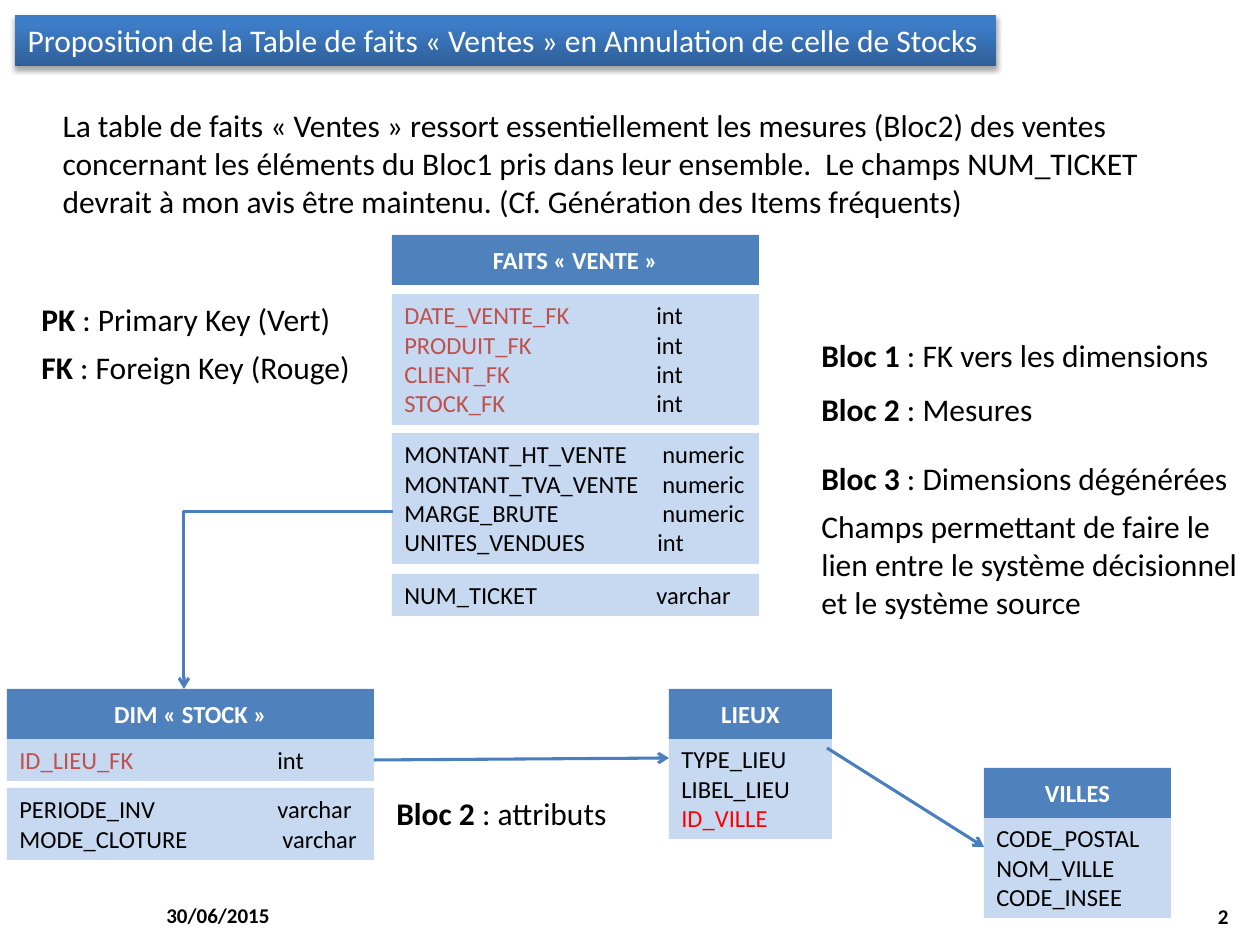
from lxml.etree import SubElement
from pptx import Presentation
from pptx.dml.color import RGBColor
from pptx.enum.shapes import MSO_CONNECTOR as LINK, MSO_SHAPE as FORM
from pptx.enum.text import MSO_ANCHOR as ANCHOR, MSO_AUTO_SIZE as FIT, PP_ALIGN as ALIGN
from pptx.oxml.ns import qn
from pptx.util import Emu, Pt

HUES = {"head": "4F81BD", "cell": "C6D9F1", "line": "4B7EBC", "low": "2F5F99", "high": "3D7CC7",
        "black": "000000", "white": "FFFFFF", "key": "C0504D", "red": "FF0000"}

TITLE = "Proposition de la Table de faits « Ventes » en Annulation de celle de Stocks"
INTRO = ("La table de faits « Ventes » ressort essentiellement les mesures (Bloc2) des ventes "
         "concernant les éléments du Bloc1 pris dans leur ensemble.  Le champs NUM_TICKET "
         "devrait à mon avis être maintenu. (Cf. Génération des Items fréquents)")

NOTES = [
    ((29, 294, 338, 99), [("PK", " : Primary Key (Vert)"), ("FK", " : Foreign Key (Rouge)")]),
    ((809, 330, 427, 51), [("Bloc 1", " : FK vers les dimensions")]),
    ((809, 384, 427, 51), [("Bloc 2", " : Mesures")]),
    ((809, 453, 441, 176), [("Bloc 3", " : Dimensions dégénérées"),
     ("", "Champs permettant de faire le lien entre le système décisionnel et le système source")]),
    ((384, 788, 427, 51), [("Bloc 2", " : attributs")]),
]

HEADS = [
    ((392, 235, 367, 50), "FAITS « VENTE »"),
    ((7, 689, 367, 50), "DIM « STOCK »"),
    ((669, 689, 163, 50), "LIEUX"),
    ((984, 768, 187, 50), "VILLES"),
]

CELLS = [
    ((392, 294, 367, 131), [("DATE_VENTE_FK", "int", "key", 252), ("PRODUIT_FK", "int", "key", 252),
                            ("CLIENT_FK", "int", "key", 252), ("STOCK_FK", "int", "key", 252)]),
    ((392, 433, 367, 131), [("MONTANT_HT_VENTE", "numeric", "black", 258),
                            ("MONTANT_TVA_VENTE", "numeric", "black", 258),
                            ("MARGE_BRUTE", "numeric", "black", 258),
                            ("UNITES_VENDUES", "int", "black", 253)]),
    ((392, 574, 367, 42), [("NUM_TICKET", "varchar", "black", 252)]),
    ((7, 739, 367, 42), [("ID_LIEU_FK", "int", "key", 258)]),
    ((7, 788, 367, 72), [("PERIODE_INV", "varchar", "black", 258),
                         ("MODE_CLOTURE", "varchar", "black", 263)]),
    ((669, 738, 163, 101), [("TYPE_LIEU", "", "black", 0), ("LIBEL_LIEU", "", "black", 0),
                            ("ID_VILLE", "", "red", 0)]),
    ((984, 817, 187, 101), [("CODE_POSTAL", "", "black", 0), ("NOM_VILLE", "", "black", 0),
                            ("CODE_INSEE", "", "black", 0)]),
]

LINKS = [
    (LINK.ELBOW, (393, 512, 184, 689)),
    (LINK.STRAIGHT, (374, 760, 669, 758)),
    (LINK.STRAIGHT, (827, 748, 984, 847)),
]

FOOT = [
    ((154, 890, 294, 50), "30/06/2015", ALIGN.LEFT),
    ((948, 891, 293, 50), "2", ALIGN.RIGHT),
]


def px(n):
    return Emu(round(n * 914400 / 126))


def rgb(hue):
    return RGBColor.from_string(HUES[hue])


def style(font, size, hue="black", bold=False):
    font.name, font.size, font.bold = "Calibri", Pt(size), bold
    font.color.rgb = rgb(hue)


def place(shape, box):
    shape.left, shape.top, shape.width, shape.height = map(px, box)


def setup(frame, anchor=ANCHOR.TOP):
    frame.word_wrap = True
    frame.auto_size = FIT.NONE
    frame.vertical_anchor = anchor


def lines(frame, rows):
    for i, row in enumerate(rows):
        yield i, frame.add_paragraph() if i else frame.paragraphs[0], row


def write(frame, text, size, hue="black", bold=False, align=ALIGN.LEFT):
    para = frame.paragraphs[0]
    para.alignment = align
    para.space_before = Pt(0)
    style(para.font, size, hue, bold)
    run = para.add_run()
    run.text = text
    style(run.font, size, hue, bold)


def block(box, hue, anchor):
    shape = slide.shapes.add_shape(FORM.RECTANGLE, *map(px, box))
    shape.shadow.inherit = False
    shape.fill.solid()
    shape.fill.fore_color.rgb = rgb(hue)
    shape.line.fill.background()
    setup(shape.text_frame, anchor)
    return shape.text_frame


def label(box, anchor=ANCHOR.TOP):
    frame = slide.shapes.add_textbox(*map(px, box)).text_frame
    setup(frame, anchor)
    return frame


deck = Presentation()
deck.slide_width, deck.slide_height = px(1260), px(945)
slide = deck.slides.add_slide(deck.slide_layouts[1])

title, intro = slide.placeholders
place(title, (15, 15, 981, 51))
setup(title.text_frame)
title.text_frame.word_wrap = False
write(title.text_frame, TITLE, 18, "white")
title.fill.gradient()
title.fill.gradient_angle = 90
for stop, (hue, spot) in zip(title.fill.gradient_stops, [("low", 0), ("high", 0.8)]):
    stop.color.rgb, stop.position = rgb(hue), spot
glow = SubElement(SubElement(title._element.spPr, qn("a:effectLst")), qn("a:outerShdw"),
                  blurRad=str(Pt(3.1)), dist=str(Pt(1.8)), dir="5400000", rotWithShape="0")
tint = SubElement(glow, qn("a:srgbClr"), val=HUES["black"])
SubElement(tint, qn("a:alpha"), val="35000")

place(intro, (50, 100, 1164, 127))
setup(intro.text_frame)
props = intro.text_frame.paragraphs[0]._p.get_or_add_pPr()
props.set("marL", "0")
props.set("indent", "0")
SubElement(props, qn("a:buNone"))
write(intro.text_frame, INTRO, 18)

for box, rows in CELLS:
    for i, para, (name, kind, hue, tab) in lines(block(box, "cell", ANCHOR.TOP), rows):
        para.alignment = ALIGN.LEFT
        if kind:
            stops = SubElement(para._p.get_or_add_pPr(), qn("a:tabLst"))
            SubElement(stops, qn("a:tab"), pos=str(px(tab)), algn="l")
        for text, tone in [(name, hue), ("\t" + kind, "black")][:2 if kind else 1]:
            run = para.add_run()
            run.text = text
            style(run.font, 14, tone)

for box, text in HEADS:
    write(block(box, "head", ANCHOR.MIDDLE), text, 14, "white", True, ALIGN.CENTER)

for box, rows in NOTES:
    for i, para, (term, rest) in lines(label(box), rows):
        para.space_before = Pt(6 if i else 0)
        for text, bold in [(term, True), (rest, False)]:
            if text:
                run = para.add_run()
                run.text = text
                style(run.font, 18, bold=bold)

for box, text, align in FOOT:
    write(label(box, ANCHOR.MIDDLE), text, 12, bold=True, align=align)

for kind, ends in LINKS:
    link = slide.shapes.add_connector(kind, *map(px, ends))
    link.line.color.rgb = rgb("line")
    link.line.width = Pt(1.75)
    SubElement(link.line._get_or_add_ln(), qn("a:tailEnd"), type="arrow")
    SubElement(link._element.spPr, qn("a:effectLst"))
    if kind == LINK.ELBOW:
        link._element.spPr.prstGeom.set("prst", "bentConnector2")

deck.save("out.pptx")
